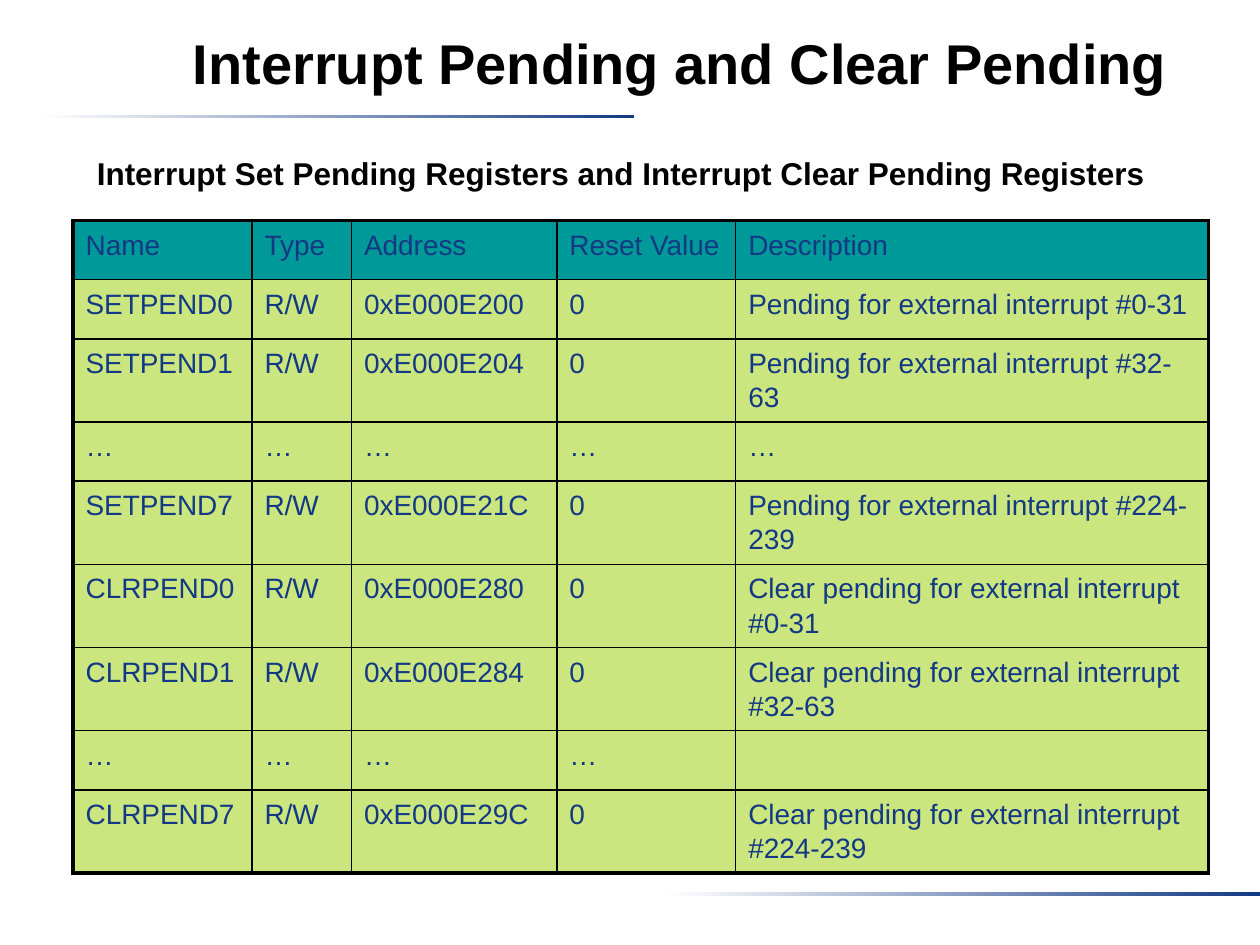
"""Build the slide on interrupt set-pending and clear-pending registers."""
from typing import NamedTuple

from lxml.etree import SubElement
from pptx import Presentation
from pptx.dml.color import RGBColor
from pptx.enum.shapes import MSO_SHAPE as SHAPE
from pptx.enum.text import MSO_ANCHOR as ANCHOR, PP_ALIGN as ALIGN
from pptx.oxml.ns import qn
from pptx.util import Inches, Pt

NAVY, BLACK, WHITE, TEAL, LIME = "133984", "000000", "FFFFFF", "009999", "99CC00"
THIN, THICK = 1, 2.25


class Register(NamedTuple):
    name: str
    type: str
    address: str
    reset: str
    description: str


class Bar(NamedTuple):
    left: float
    top: float


HEADER = Register("Name", "Type", "Address", "Reset Value", "Description")
REGISTERS = [
    Register("SETPEND0", "R/W", "0xE000E200", "0", "Pending for external interrupt #0-31"),
    Register("SETPEND1", "R/W", "0xE000E204", "0", "Pending for external interrupt #32-63"),
    Register("…", "…", "…", "…", "…"),
    Register("SETPEND7", "R/W", "0xE000E21C", "0", "Pending for external interrupt #224-239"),
    Register("CLRPEND0", "R/W", "0xE000E280", "0", "Clear pending for external interrupt #0-31"),
    Register("CLRPEND1", "R/W", "0xE000E284", "0", "Clear pending for external interrupt #32-63"),
    Register("…", "…", "…", "…", ""),
    Register("CLRPEND7", "R/W", "0xE000E29C", "0", "Clear pending for external interrupt #224-239"),
]
COL_WIDTHS = [1.42, 0.79, 1.63, 1.42, 3.75]
ONE_LINE, TWO_LINES = 0.47, 0.66
BARS = [Bar(0.31, 0.91), Bar(5.28, 7.08)]


def rgb(color: str) -> RGBColor:
    return RGBColor.from_string(color)


def write(tf, text: str, *, size: float, color: str = BLACK, bold: bool = False,
          align=ALIGN.LEFT, spacing: float = 1.0) -> None:
    tf.word_wrap = True
    p = tf.paragraphs[0]
    p.alignment, p.line_spacing = align, spacing
    r = p.add_run()
    r.text = text
    r.font.name, r.font.size, r.font.bold = "Arial", Pt(size), bold
    r.font.color.rgb = rgb(color)


def draw_bar(s, bar: Bar) -> None:
    sp = s.shapes.add_shape(SHAPE.RECTANGLE, Inches(bar.left), Inches(bar.top),
                            Inches(4.72), Inches(0.03))
    sp.shadow.inherit = False
    sp.line.fill.background()
    sp.fill.gradient()
    sp.fill.gradient_angle = 0
    for stop, position, color in zip(sp.fill.gradient_stops, (0, 1), (WHITE, NAVY)):
        stop.position = position
        stop.color.rgb = rgb(color)


def set_borders(tc_pr, widths: dict[str, float]) -> None:
    for side, width in widths.items():
        ln = SubElement(tc_pr, qn(f"a:ln{side}"), w=str(Pt(width)))
        SubElement(SubElement(ln, qn("a:solidFill")), qn("a:srgbClr"), val=BLACK)


def draw_table(s, rows: list[Register]) -> None:
    heights = [TWO_LINES if len(row.description) > 36 else ONE_LINE for row in rows]
    table = s.shapes.add_table(len(rows), len(COL_WIDTHS), Inches(0.58), Inches(1.75),
                               Inches(sum(COL_WIDTHS)), Inches(sum(heights))).table
    last_row, last_col = len(rows) - 1, len(COL_WIDTHS) - 1
    for col, width in zip(table.columns, COL_WIDTHS):
        col.width = Inches(width)
    for i, (row, height) in enumerate(zip(rows, heights)):
        table.rows[i].height = Inches(height)
        for j, text in enumerate(row):
            cell = table.cell(i, j)
            tc_pr = cell._tc.get_or_add_tcPr()
            edges = {"L": j == 0, "R": j == last_col, "T": i == 0, "B": i == last_row}
            set_borders(tc_pr, {k: THICK if outer else THIN for k, outer in edges.items()})
            cell.fill.solid()
            cell.fill.fore_color.rgb = rgb(LIME if i else TEAL)
            if i:
                fill_color = tc_pr.find(qn("a:solidFill")).find(qn("a:srgbClr"))
                SubElement(fill_color, qn("a:alpha"), val="50000")
            if text:
                write(cell.text_frame, text, size=16, color=NAVY, spacing=1.1)


def draw_subtitle(s, text: str) -> None:
    box = s.shapes.add_textbox(Inches(0.67), Inches(1.17), Inches(8.58), Inches(0.4))
    write(box.text_frame, text, size=18, bold=True)


def draw_title(s, text: str) -> None:
    sp = s.shapes.title
    sp.left, sp.top, sp.width, sp.height = map(Inches, (0.91, 0.13, 8.98, 0.71))
    sp.fill.solid()
    sp.fill.fore_color.rgb = rgb(WHITE)
    tf = sp.text_frame
    tf.margin_top, tf.margin_bottom = Inches(0.06), Inches(0.05)
    tf.vertical_anchor = ANCHOR.MIDDLE
    write(tf, text, size=32, bold=True, align=ALIGN.CENTER)


def main() -> None:
    prs = Presentation()
    prs.slide_width, prs.slide_height = Inches(10), Inches(7.5)
    s = prs.slides.add_slide(prs.slide_layouts[5])
    for bar in BARS:
        draw_bar(s, bar)
    draw_table(s, [HEADER, *REGISTERS])
    draw_subtitle(s, "Interrupt Set Pending Registers and Interrupt Clear Pending Registers")
    draw_title(s, "Interrupt Pending and Clear Pending")
    prs.save("out.pptx")


if __name__ == "__main__":
    main()
